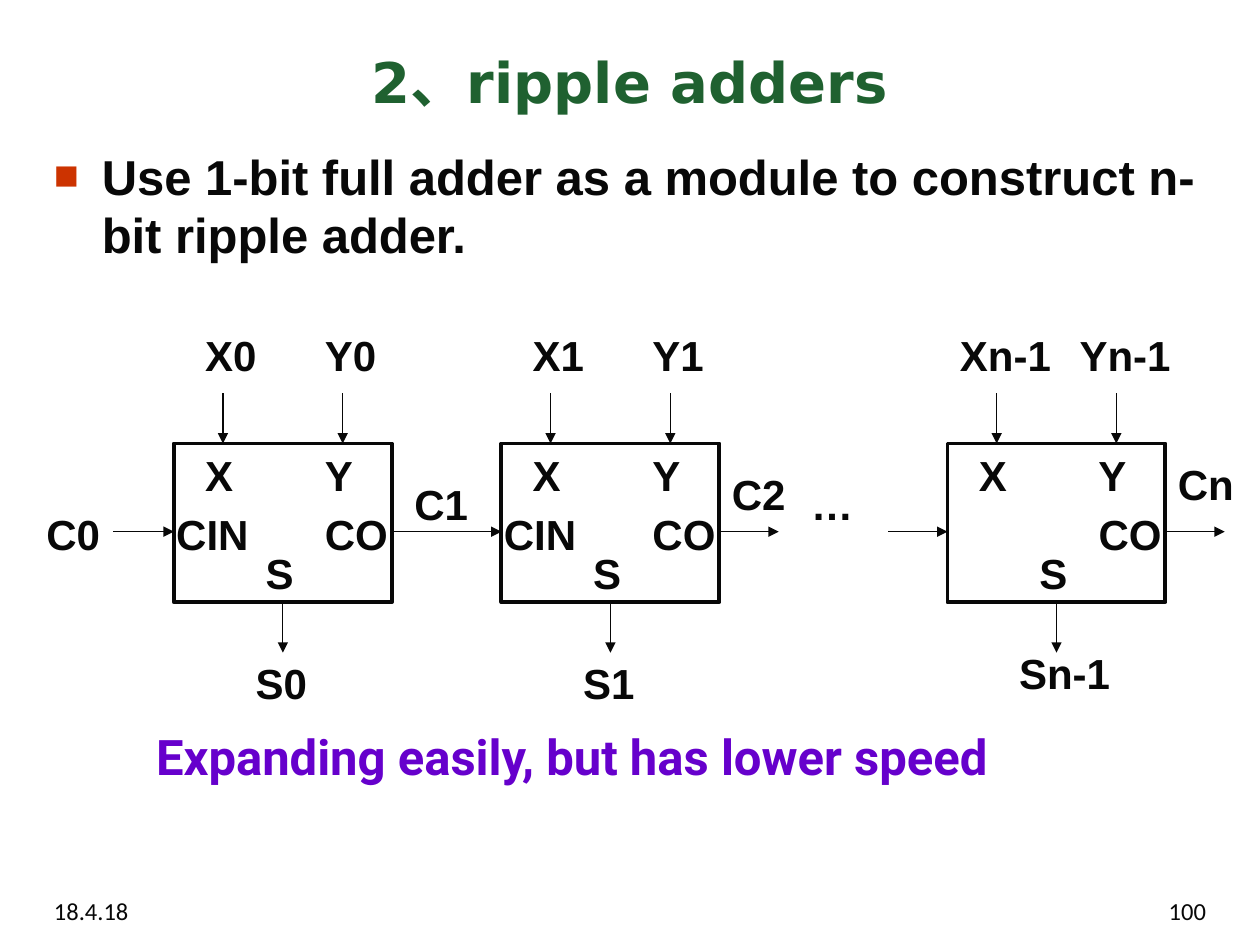
"""Build the slide on ripple adders made of 1-bit full adder stages."""
from dataclasses import dataclass
from typing import Any

import lxml.etree
import pptx
import pptx.dml.color
import pptx.enum.shapes
import pptx.enum.text
import pptx.oxml.ns
import pptx.util

Inches = pptx.util.Inches
Pt = pptx.util.Pt
Align = pptx.enum.text.PP_ALIGN
Anchor = pptx.enum.text.MSO_ANCHOR
qn = pptx.oxml.ns.qn

COLORS = {"ink": "080808", "title": "1F6130", "bullet": "CC3300", "remark": "6600CC"}
LABEL = {"name": "Arial", "size": Pt(24), "bold": True}
FOOTER = {"name": "Calibri", "size": Pt(14), "bold": False}
STAGE_TOP, STAGE_WIDTH, STAGE_HEIGHT = 3.52, 1.73, 1.26
STAGE_BOTTOM = STAGE_TOP + STAGE_HEIGHT
X_PIN, Y_PIN, S_PIN = 0.39, 1.34, STAGE_WIDTH / 2
INPUT_TOP, CARRY_ROW, LABEL_ROW, PIN_ROW = 3.12, 4.22, 2.57, 3.99
ARROW = 0.4


@dataclass
class Label:
    text: str
    left: float
    top: float
    width: float = 0.63


@dataclass
class Stage:
    left: float
    x_name: Label
    y_name: Label
    sum_name: Label
    carry_in: float
    carry_pin: str = "CIN"


@dataclass
class Writing:
    text: str
    left: float
    top: float
    width: float
    height: float
    font: dict[str, Any]
    color: str = "ink"
    align: Any = Align.LEFT
    anchor: Any = Anchor.TOP


STAGES = [
    Stage(1.38, Label("X0", 1.53, LABEL_ROW), Label("Y0", 2.48, LABEL_ROW),
          Label("S0", 1.93, 5.17), 0.9),
    Stage(3.98, Label("X1", 4.13, LABEL_ROW), Label("Y1", 5.08, LABEL_ROW),
          Label("S1", 4.53, 5.17), 3.11),
    Stage(7.52, Label("Xn-1", 7.52, LABEL_ROW, 0.95), Label("Yn-1", 8.47, LABEL_ROW, 0.95),
          Label("Sn-1", 7.99, 5.09, 1.1), 7.05, ""),
]
CARRIES = [
    Label("C0", 0.27, PIN_ROW),
    Label("C1", 3.19, 3.75),
    Label("C2", 5.71, 3.67),
    Label("…", 6.34, 3.75),
    Label("Cn", 9.25, 3.59, 0.75),
]
CARRY_OUT_STARTS = [5.71, 9.25]
BODY = Writing("Use 1-bit full adder as a module to construct n-bit ripple adder.",
               0.33, 1.11, 9.34, 5.56, {**LABEL, "size": Pt(28)})
WRITINGS = [
    Writing("18.4.18", 0.33, 7.06, 2.5, 0.29, FOOTER),
    Writing("100", 7.17, 7.06, 2.5, 0.29, FOOTER, align=Align.RIGHT),
    Writing("2、ripple adders", 0.33, 0.25, 9.34, 0.78,
            {"name": "DejaVu Sans", "size": Pt(32), "bold": True},
            "title", Align.CENTER, Anchor.MIDDLE),
    Writing("Expanding easily, but has lower speed", 1.14, 5.72, 7.21, 0.57,
            {"name": "Roboto", "size": Pt(28), "bold": True}, "remark"),
]


def rgb(name: str) -> pptx.dml.color.RGBColor:
    """Look up a named colour."""
    return pptx.dml.color.RGBColor.from_string(COLORS[name])


def add_bullet(para: Any) -> None:
    """Give a paragraph a square bullet with a hanging indent."""
    props = para._p.get_or_add_pPr()
    props.set("marL", str(Inches(0.38)))
    props.set("indent", str(-Inches(0.38)))
    color = lxml.etree.SubElement(props, qn("a:buClr"))
    lxml.etree.SubElement(color, qn("a:srgbClr"), val=COLORS["bullet"])
    lxml.etree.SubElement(props, qn("a:buSzPct"), val="85000")
    lxml.etree.SubElement(props, qn("a:buFont"), typeface="Arial")
    lxml.etree.SubElement(props, qn("a:buChar"), char="■")


def write(page: Any, item: Writing, bullet: bool = False) -> None:
    """Add one text box."""
    box = page.shapes.add_textbox(Inches(item.left), Inches(item.top),
                                  Inches(item.width), Inches(item.height))
    frame = box.text_frame
    for key, value in {"word_wrap": True, "vertical_anchor": item.anchor}.items():
        setattr(frame, key, value)
    para = frame.paragraphs[0]
    para.alignment = item.align
    if bullet:
        add_bullet(para)
    span = para.add_run()
    span.text = item.text
    for key, value in item.font.items():
        setattr(span.font, key, value)
    span.font.color.rgb = rgb(item.color)


def write_label(page: Any, label: Label) -> None:
    """Add a signal or pin name."""
    write(page, Writing(label.text, label.left, label.top, label.width, 0.5, LABEL))


def add_arrow(page: Any, start: tuple[float, float], end: tuple[float, float]) -> Any:
    """Draw a thin arrow from start to end."""
    arrow = page.shapes.add_connector(pptx.enum.shapes.MSO_CONNECTOR.STRAIGHT,
                                      *(Inches(value) for value in start + end))
    arrow.line.width = Pt(0.75)
    arrow.line.color.rgb = rgb("ink")
    lxml.etree.SubElement(arrow.line._get_or_add_ln(), qn("a:tailEnd"),
                          type="triangle", w="med", len="med")
    lxml.etree.SubElement(arrow._element.spPr, qn("a:effectLst"))
    return arrow


def add_stage(page: Any, stage: Stage) -> None:
    """Draw one full adder with its pins, arrows and signal names."""
    left = stage.left
    box = page.shapes.add_shape(pptx.enum.shapes.MSO_SHAPE.RECTANGLE,
                                Inches(left), Inches(STAGE_TOP),
                                Inches(STAGE_WIDTH), Inches(STAGE_HEIGHT))
    box.shadow.inherit = False
    box.fill.background()
    box.line.color.rgb = rgb("ink")
    box.line.width = Pt(2.25)
    for pin in (X_PIN, Y_PIN):
        add_arrow(page, (left + pin, INPUT_TOP), (left + pin, STAGE_TOP))
    output = add_arrow(page, (left + S_PIN, STAGE_BOTTOM), (left + S_PIN, STAGE_BOTTOM + ARROW))
    output.begin_connect(box, 2)
    add_arrow(page, (stage.carry_in, CARRY_ROW), (left, CARRY_ROW))
    pins = [
        Label("X", left + 0.15, STAGE_TOP, 0.47),
        Label("Y", left + 1.1, STAGE_TOP, 0.47),
        Label(stage.carry_pin, left - 0.08, PIN_ROW, 0.79),
        Label("CO", left + 1.1, PIN_ROW, 0.79),
        Label("S", left + 0.63, 4.3, 0.47),
    ]
    for label in pins + [stage.x_name, stage.y_name, stage.sum_name]:
        if label.text:
            write_label(page, label)


def main() -> None:
    """Build and save the deck."""
    deck = pptx.Presentation()
    deck.slide_width, deck.slide_height = Inches(10), Inches(7.5)
    page = deck.slides.add_slide(deck.slide_layouts[6])
    write(page, BODY, bullet=True)
    for item in WRITINGS:
        write(page, item)
    for stage in STAGES:
        add_stage(page, stage)
    for start in CARRY_OUT_STARTS:
        add_arrow(page, (start, CARRY_ROW), (start + 0.47, CARRY_ROW))
    for label in CARRIES:
        write_label(page, label)
    deck.save("out.pptx")


if __name__ == "__main__":
    main()
